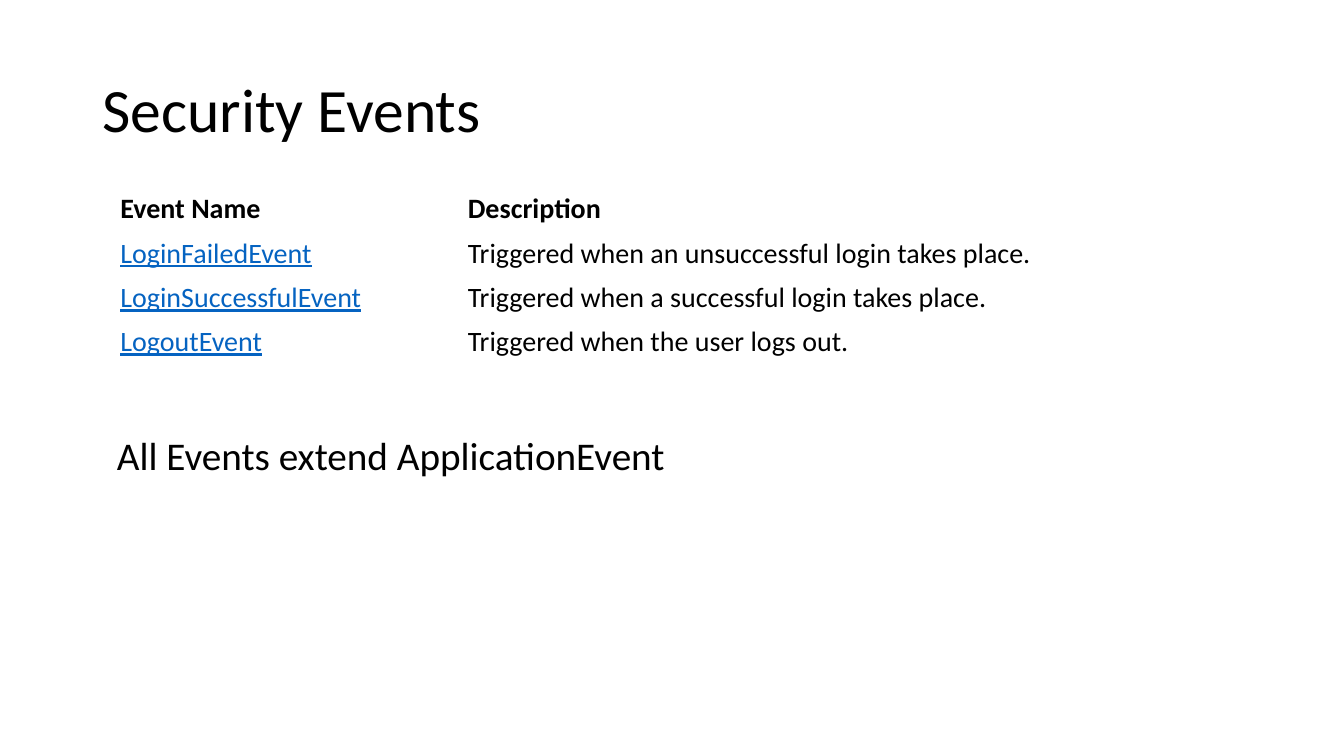
from pptx import Presentation
from pptx.dml.color import RGBColor
from pptx.enum.text import MSO_ANCHOR as Anchor, MSO_AUTO_SIZE as Fit, PP_ALIGN as Align
from pptx.util import Emu, Pt

PX = 9525  # EMU in one px, 96 px to the inch
BLACK = RGBColor(0x00, 0x00, 0x00)
BLUE = RGBColor(0x05, 0x63, 0xC1)
FONT = "Calibri"

ROWS = [
    ("Event Name", "Description"),
    ("LoginFailedEvent", "Triggered when an unsuccessful login takes place."),
    ("LoginSuccessfulEvent", "Triggered when a successful login takes place."),
    ("LogoutEvent", "Triggered when the user logs out."),
]


def px(*nums):
    return [Emu(num * PX) for num in nums]


def write(frame, text, size, color=BLACK, bold=False, line=False):
    frame.text = text
    para = frame.paragraphs[0]
    para.alignment = Align.LEFT
    font = para.runs[0].font
    font.name, font.size = FONT, Pt(size)
    font.bold, font.underline = bold, line
    font.color.rgb = color


def add_title(slide, box, text):
    title = slide.shapes.title
    title.left, title.top, title.width, title.height = px(*box)
    frame = title.text_frame
    write(frame, text, 44)
    frame.auto_size = Fit.NONE
    frame.vertical_anchor = Anchor.MIDDLE
    frame.paragraphs[0].line_spacing = 0.9


def add_events(slide, box, rows):
    wide = box[2]
    first = wide * 3 // 10
    table = slide.shapes.add_table(len(rows), 2, *px(*box)).table
    table.first_row = table.horz_banding = False
    for col, width in zip(table.columns, px(first, wide - first)):
        col.width = width
    for i, row in enumerate(rows):
        for j, text in enumerate(row):
            cell = table.cell(i, j)
            cell.fill.background()
            link = i > 0 and j == 0
            write(cell.text_frame, text, 20, BLUE if link else BLACK,
                  bold=i == 0, line=link)


def add_note(slide, box, text):
    frame = slide.shapes.add_textbox(*px(*box)).text_frame
    frame.word_wrap = True
    frame.auto_size = Fit.SHAPE_TO_FIT_TEXT
    write(frame, text, 28)


def main():
    deck = Presentation()
    deck.slide_width, deck.slide_height = px(1280, 720)
    slide = deck.slides.add_slide(deck.slide_layouts[5])  # title only

    # Heading, table of events, closing remark
    add_title(slide, (88, 38, 1104, 139), "Security Events")
    add_events(slide, (105, 178, 1104, 166), ROWS)
    add_note(slide, (102, 406, 968, 55), "All Events extend ApplicationEvent")

    deck.save("out.pptx")


if __name__ == "__main__":
    main()
